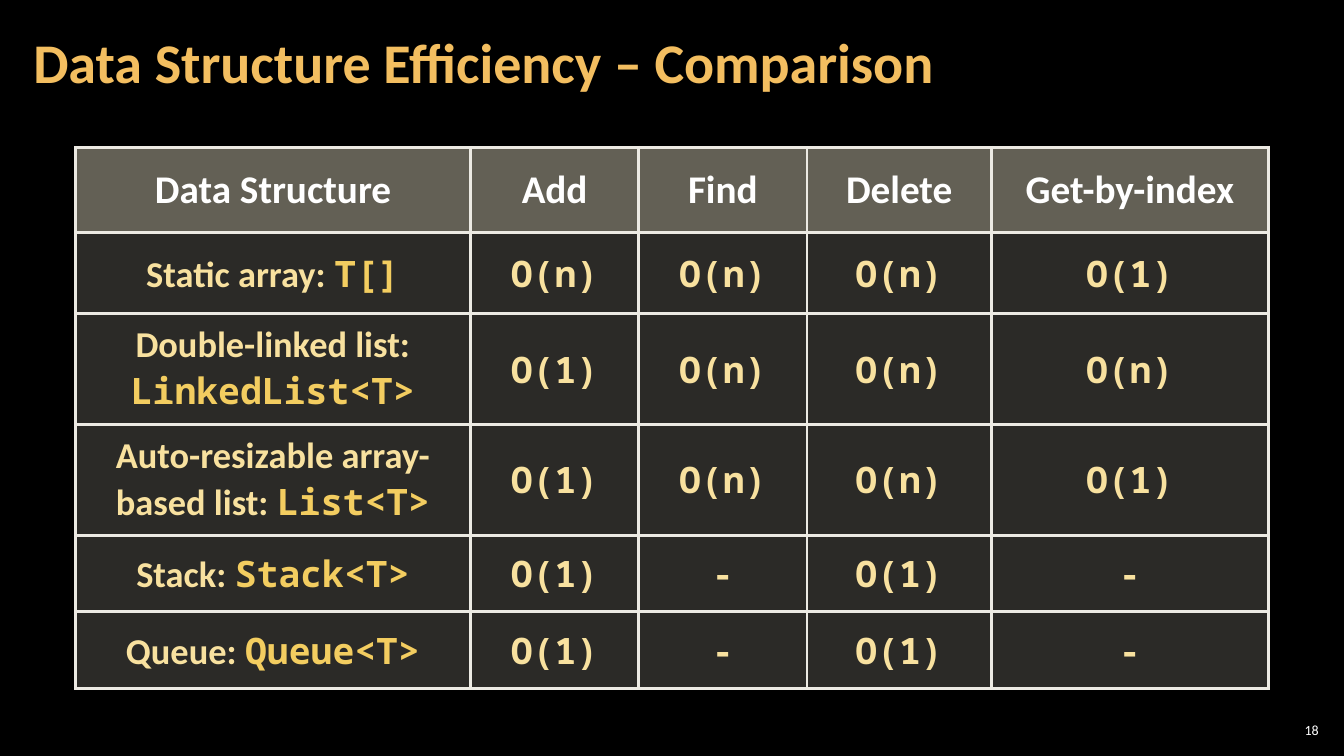
import pptx
import pptx.util
import pptx.dml.color
import pptx.enum.text
import pptx.oxml.ns
from lxml import etree

Inches = pptx.util.Inches
Pt = pptx.util.Pt
RGBColor = pptx.dml.color.RGBColor
PP_ALIGN = pptx.enum.text.PP_ALIGN
MIDDLE = pptx.enum.text.MSO_ANCHOR.MIDDLE
qn = pptx.oxml.ns.qn

BLACK = RGBColor(0x00, 0x00, 0x00)
WHITE = RGBColor(0xFF, 0xFF, 0xFF)
ORANGE = RGBColor(0xF3, 0xBE, 0x60)
CREAM = RGBColor(0xF8, 0xE1, 0x9F)
YELLOW = RGBColor(0xF3, 0xCD, 0x60)
HEADER_FILL = RGBColor(0xC6, 0xC0, 0xAA)
BODY_FILL = RGBColor(0xD9, 0xD5, 0xC7)
BORDER = RGBColor(0xEC, 0xEA, 0xE3)

SANS = "Calibri"
MONO = "Noto Sans Mono"

COLUMNS = [3.92, 1.67, 1.67, 1.83, 2.75]
ROWS = [0.85, 0.8, 1.1, 1.1, 0.76, 0.76]
HEADINGS = ["Data Structure", "Add", "Find", "Delete", "Get-by-index"]
STRUCTURES = [
    ("Static array: ", "T[]", ["O(n)", "O(n)", "O(n)", "O(1)"]),
    ("Double-linked list: ", "LinkedList<T>", ["O(1)", "O(n)", "O(n)", "O(n)"]),
    ("Auto-resizable array-based list: ", "List<T>", ["O(1)", "O(n)", "O(n)", "O(1)"]),
    ("Stack: ", "Stack<T>", ["O(1)", "-", "O(1)", "-"]),
    ("Queue: ", "Queue<T>", ["O(1)", "-", "O(1)", "-"]),
]


def add_run(p, text, size, color, font=SANS, bold=True):
    r = p.add_run()
    r.text = text
    r.font.size = Pt(size)
    r.font.name = font
    r.font.bold = bold
    r.font.color.rgb = color


def set_frame(tf, side, edge):
    tf.word_wrap = True
    tf.auto_size = pptx.enum.text.MSO_AUTO_SIZE.NONE
    tf.vertical_anchor = MIDDLE
    tf.margin_left = tf.margin_right = Inches(side)
    tf.margin_top = tf.margin_bottom = Inches(edge)


def add_title(s, left, top, width, height):
    sp = s.shapes.title
    sp.left, sp.top = Inches(left), Inches(top)
    sp.width, sp.height = Inches(width), Inches(height)
    set_frame(sp.text_frame, 0.12, 0.04)
    p = sp.text_frame.paragraphs[0]
    p.alignment = PP_ALIGN.LEFT
    p.line_spacing = 0.9
    add_run(p, "Data Structure Efficiency – Comparison", 40, ORANGE)


def add_page_number(s, left, top, width, height):
    sp = s.shapes.add_textbox(Inches(left), Inches(top), Inches(width), Inches(height))
    set_frame(sp.text_frame, 0.04, 0.04)
    p = sp.text_frame.paragraphs[0]
    p.alignment = PP_ALIGN.RIGHT
    add_run(p, "18", 10, WHITE, bold=False)


def set_borders(cell):
    tc_pr = cell._tc.get_or_add_tcPr()
    for side in ("a:lnL", "a:lnR", "a:lnT", "a:lnB"):
        ln = etree.SubElement(tc_pr, qn(side), w=str(Pt(2.25)))
        fill = etree.SubElement(ln, qn("a:solidFill"))
        etree.SubElement(fill, qn("a:srgbClr"), val=str(BORDER))


def set_fill(cell, color, percent):
    cell.fill.solid()
    cell.fill.fore_color.rgb = color
    clr = cell._tc.tcPr.find(qn("a:solidFill")).find(qn("a:srgbClr"))
    etree.SubElement(clr, qn("a:alpha"), val=str(percent * 1000))


def fill_cell(cell, runs, color, percent):
    set_borders(cell)
    set_fill(cell, color, percent)
    cell.vertical_anchor = MIDDLE
    p = cell.text_frame.paragraphs[0]
    p.alignment = PP_ALIGN.CENTER
    p.line_spacing = 0.95
    for run in runs:
        add_run(p, *run)


def add_comparison(s, left, top, width, height):
    frame = s.shapes.add_table(len(ROWS), len(COLUMNS), Inches(left), Inches(top),
                               Inches(width), Inches(height))
    table = frame.table
    table.horz_banding = False
    for column, share in zip(table.columns, COLUMNS):
        column.width = Inches(width * share / sum(COLUMNS))
    for row, share in zip(table.rows, ROWS):
        row.height = Inches(height * share / sum(ROWS))
    for j, heading in enumerate(HEADINGS):
        fill_cell(table.cell(0, j), [(heading, 28, WHITE)], HEADER_FILL, 50)
    for i, (label, code, costs) in enumerate(STRUCTURES, 1):
        name = [(label, 26, CREAM), (code, 26, YELLOW, MONO)]
        fill_cell(table.cell(i, 0), name, BODY_FILL, 20)
        for j, cost in enumerate(costs, 1):
            fill_cell(table.cell(i, j), [(cost, 26, CREAM, MONO)], BODY_FILL, 20)


def main():
    prs = pptx.Presentation()
    prs.slide_width, prs.slide_height = Inches(13.33), Inches(7.5)
    s = prs.slides.add_slide(prs.slide_layouts[5])
    s.background.fill.solid()
    s.background.fill.fore_color.rgb = BLACK
    add_page_number(s, 12.65, 7.14, 0.47, 0.21)
    add_title(s, 0.21, 0.04, 10.47, 1.21)
    add_comparison(s, 0.75, 1.46, 11.83, 5.37)
    prs.save("out.pptx")


if __name__ == "__main__":
    main()
